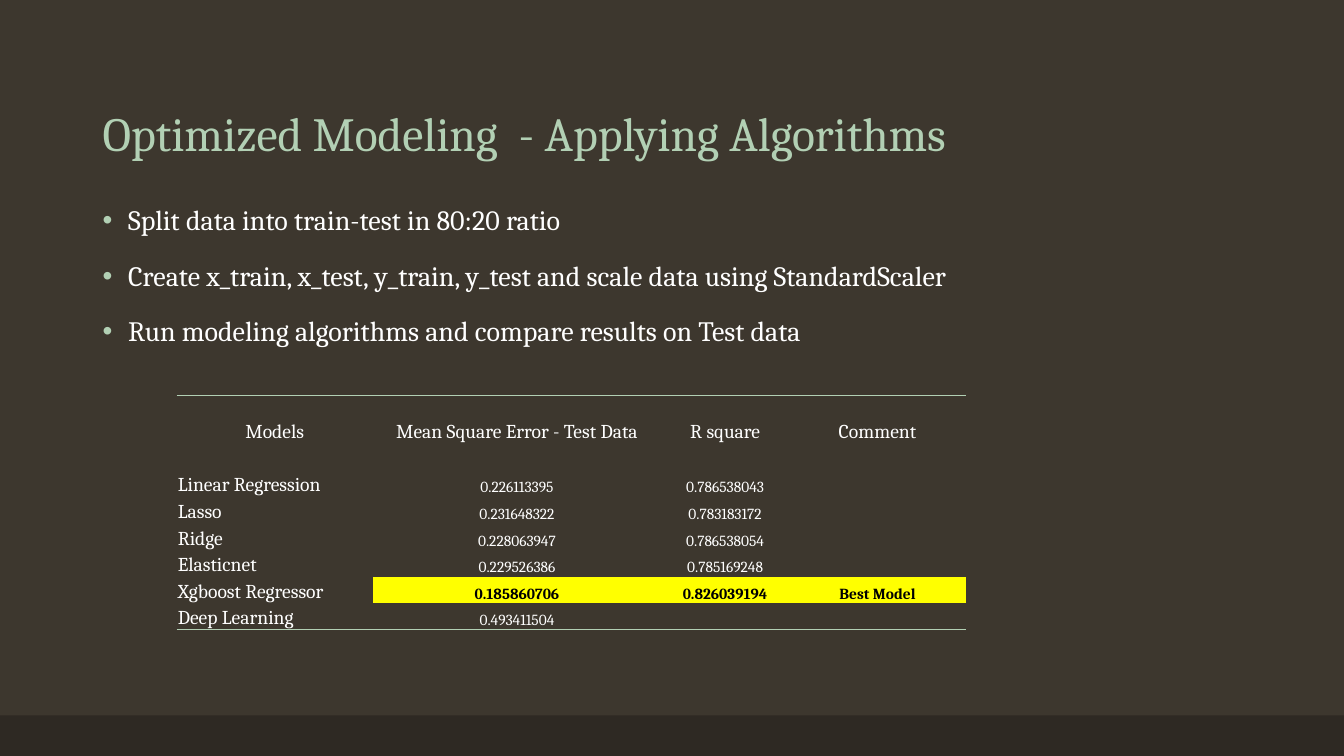
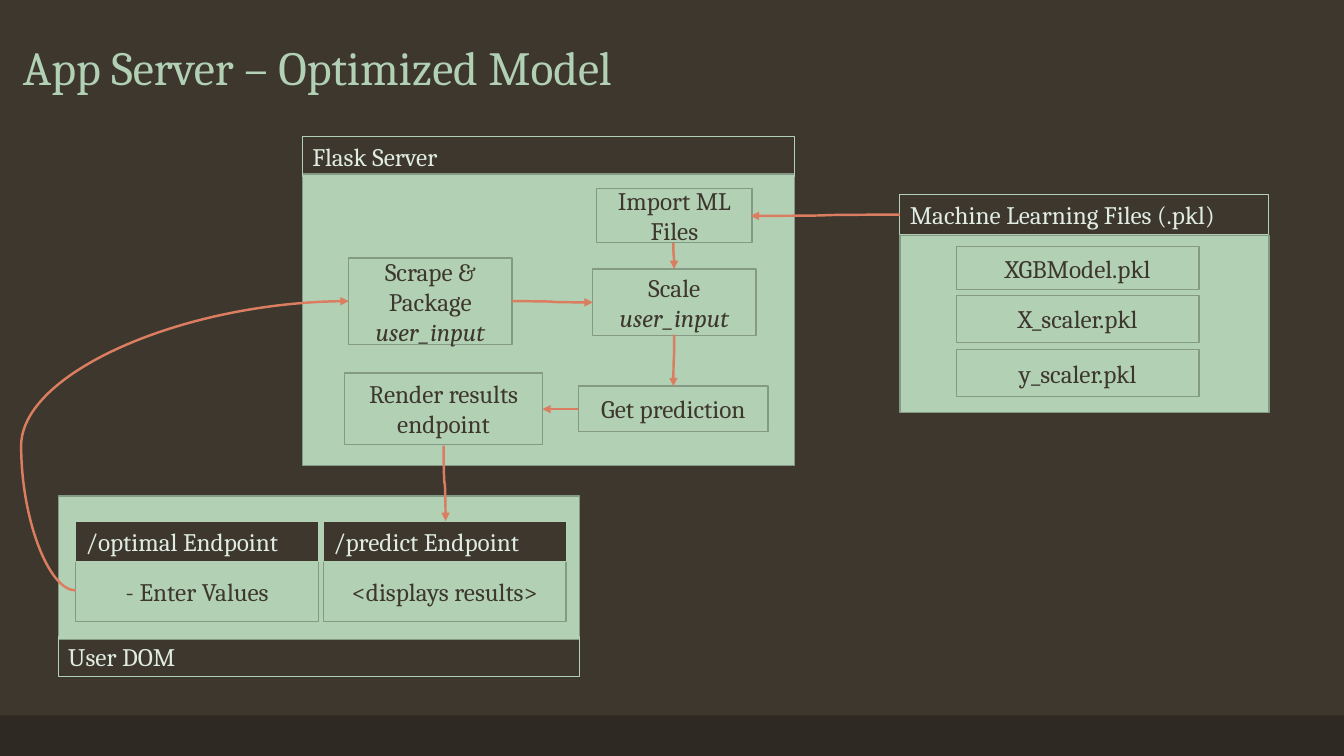
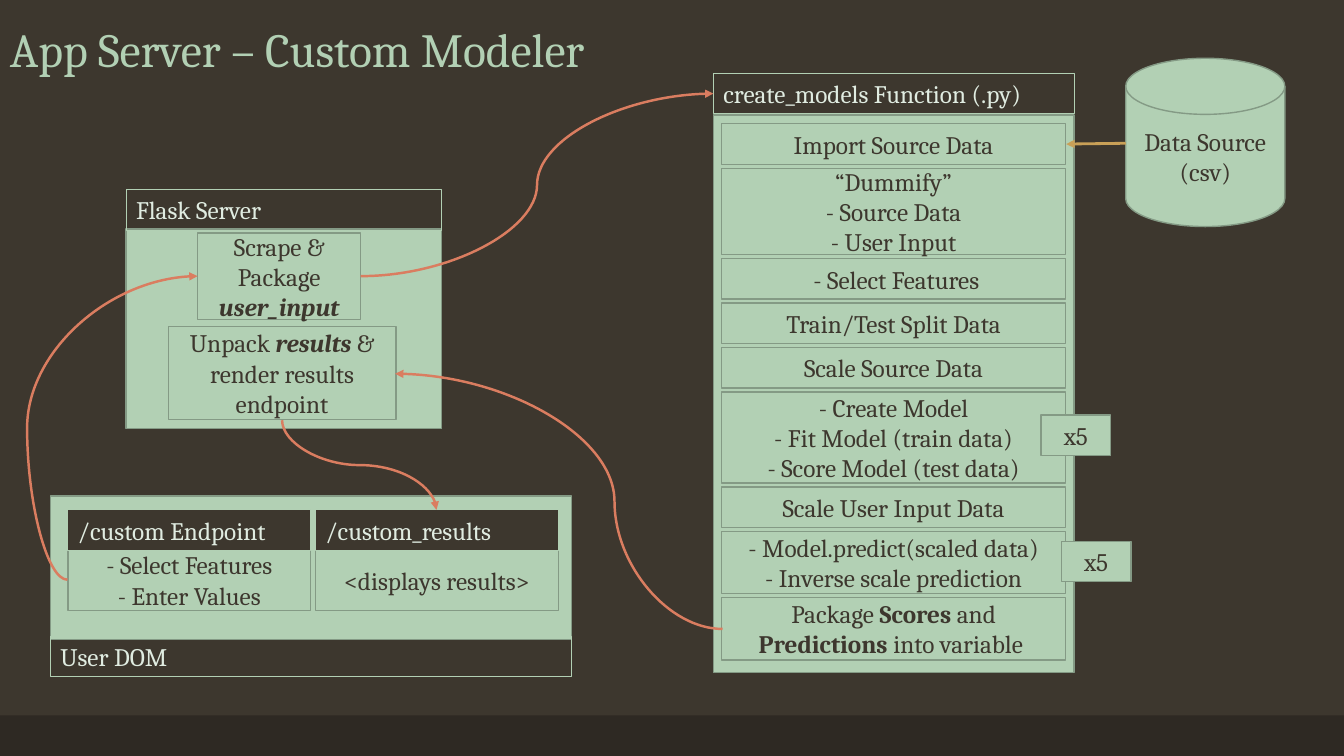
from lxml.etree import SubElement
from pptx import Presentation
from pptx.dml.color import RGBColor
from pptx.enum.shapes import MSO_CONNECTOR, MSO_SHAPE
from pptx.enum.text import MSO_ANCHOR, PP_ALIGN
from pptx.oxml.ns import qn
from pptx.util import Cm, Pt

FONT = "Cambria"
DARK = "3D372E"
BAND = "2E2923"
MINT = "B2D0B4"
PALE = "E0ECE1"
EDGE = "849A85"
CORAL = "DA7D60"
GOLD = "C9A057"
WHITE = "FFFFFF"
BLACK = "000000"
YELLOW = "FFFF00"

STRIP_HEIGHT = 1.02
ENDPOINT_WIDTH = 6.12
ENDPOINT_PITCH = 6.24
NO_GRID_STYLE = "{2D5ABB26-0587-4C30-8999-92F81FD0307C}"

TITLE_FORMAT = {"line_spacing": 0.9}
BULLET_FORMAT = {"line_spacing": 0.9, "space_before": Pt(18)}
CENTERED = {"alignment": PP_ALIGN.CENTER}
LEFT = {"alignment": PP_ALIGN.LEFT}
CELL_FORMAT = {
    "vertical_anchor": MSO_ANCHOR.BOTTOM,
    "margin_left": Cm(0.03),
    "margin_right": Cm(0.03),
    "margin_top": Cm(0.03),
    "margin_bottom": Cm(0),
}


def color(code):
    return RGBColor.from_string(code)


def cms(*lengths):
    return [Cm(length) for length in lengths]


def apply(target, values):
    for name, value in values.items():
        setattr(target, name, value)


class Deck:
    def __init__(self):
        self.show = Presentation()
        apply(self.show, {"slide_width": Cm(33.87), "slide_height": Cm(19.05)})
        backdrop = self.show.slide_master.background.fill
        backdrop.solid()
        backdrop.fore_color.rgb = color(DARK)
        self.slide = None

    def start(self, heading, left, top):
        self.slide = self.show.slides.add_slide(self.show.slide_layouts[6])
        self.block((0, 18.03, 33.87, 1.02), fill=BAND)
        self.text([heading], (left, top, 29.21, 3.18), MSO_ANCHOR.BOTTOM, 34, MINT, TITLE_FORMAT)

    def fill_text(self, frame, paragraphs, size, ink, layout):
        for index, content in enumerate(paragraphs):
            paragraph = frame.paragraphs[0] if index == 0 else frame.add_paragraph()
            apply(paragraph, layout)
            for piece in [content] if isinstance(content, str) else content:
                words, marks = (piece, "") if isinstance(piece, str) else piece
                run = paragraph.add_run()
                run.text = words
                apply(run.font, {"name": FONT, "size": Pt(size), "bold": "b" in marks, "italic": "i" in marks})
                run.font.color.rgb = color(ink)

    def text(self, paragraphs, place, anchor, size, ink, layout):
        frame = self.slide.shapes.add_textbox(*cms(*place)).text_frame
        apply(frame, {"word_wrap": True, "vertical_anchor": anchor})
        self.fill_text(frame, paragraphs, size, ink, layout)
        return frame

    def bullets(self, points, place):
        frame = self.text(points, place, MSO_ANCHOR.TOP, 20, WHITE, BULLET_FORMAT)
        for paragraph in frame.paragraphs:
            properties = paragraph._p.get_or_add_pPr()
            properties.set("marL", str(Cm(0.64)))
            properties.set("indent", str(-Cm(0.64)))
            tint = SubElement(properties, qn("a:buClr"))
            SubElement(tint, qn("a:srgbClr"), val=MINT)
            SubElement(properties, qn("a:buFont"), typeface="Arial")
            SubElement(properties, qn("a:buChar"), char="•")

    def block(self, place, fill=None, edge=None, weight=1.0, kind=MSO_SHAPE.RECTANGLE):
        block = self.slide.shapes.add_shape(kind, *cms(*place))
        block.shadow.inherit = False
        if fill:
            block.fill.solid()
            block.fill.fore_color.rgb = color(fill)
        else:
            block.fill.background()
        if edge:
            block.line.color.rgb = color(edge)
            block.line.width = Pt(weight)
        else:
            block.line.fill.background()
        return block

    def step(self, place, *paragraphs, kind=MSO_SHAPE.RECTANGLE):
        frame = self.block(place, MINT, EDGE, kind=kind).text_frame
        apply(frame, {"word_wrap": True, "vertical_anchor": MSO_ANCHOR.MIDDLE})
        self.fill_text(frame, paragraphs, 18, DARK, CENTERED)

    def strip(self, label, left, top, width, fill=None):
        frame = self.block((left, top, width, STRIP_HEIGHT), fill, MINT, 0.75).text_frame
        apply(frame, {"word_wrap": True, "vertical_anchor": MSO_ANCHOR.TOP})
        self.fill_text(frame, [label], 18, PALE, LEFT)

    def panel(self, label, place, strip_top):
        left, _, width, _ = place
        self.block(place, MINT, EDGE)
        self.strip(label, left, strip_top, width)

    def user_dom(self, left, endpoint_top, endpoints):
        self.panel("User DOM", (left, 12.5, 13.13, 3.61), 16.03)
        for index, (label, actions) in enumerate(endpoints):
            x = left + 0.44 + index * ENDPOINT_PITCH
            self.step((x, endpoint_top + 0.99, ENDPOINT_WIDTH, 1.55), *actions)
            self.strip(label, x, endpoint_top, ENDPOINT_WIDTH, DARK)

    def arrow(self, start, end, kind=MSO_CONNECTOR.CURVE, ink=CORAL, weight=1.75, bend=0.5, down=False):
        if down:
            x, y = (start[0] + end[0]) / 2, (start[1] + end[1]) / 2
            run, rise = (end[0] - start[0]) / 2, (end[1] - start[1]) / 2
            start, end = (x - rise, y + run), (x + rise, y - run)
        arrow = self.slide.shapes.add_connector(kind, *cms(*start, *end))
        if down:
            arrow.rotation = 90
        arrow.line.color.rgb = color(ink)
        arrow.line.width = Pt(weight)
        properties = arrow._element.spPr
        SubElement(properties.find(qn("a:ln")), qn("a:tailEnd"), type="triangle")
        SubElement(properties, qn("a:effectLst"))
        if bend != 0.5:
            guides = properties.find(qn("a:prstGeom")).find(qn("a:avLst"))
            SubElement(guides, qn("a:gd"), name="adj1", fmla=f"val {round(bend * 100000)}")

    def rule(self, cell, side):
        properties = cell._tc.get_or_add_tcPr()
        line = SubElement(properties, qn(f"a:{side}"), w=str(Pt(1)))
        SubElement(SubElement(line, qn("a:solidFill")), qn("a:srgbClr"), val=MINT)
        properties.insert(0, line)

    def table(self, rows, left, top, widths, heights, best):
        frame = self.slide.shapes.add_table(
            len(rows), len(widths), *cms(left, top, sum(widths), sum(heights)))
        grid = frame.table
        apply(grid, {"first_row": False, "horz_banding": False})
        grid._tbl.tblPr.find(qn("a:tableStyleId")).text = NO_GRID_STYLE
        for column, width in zip(grid.columns, widths):
            column.width = Cm(width)
        for r, (row, height) in enumerate(zip(rows, heights)):
            grid.rows[r].height = Cm(height)
            for c, value in enumerate(row):
                cell = grid.cell(r, c)
                apply(cell, CELL_FORMAT)
                marked = r == best and c > 0
                if marked:
                    cell.fill.solid()
                    cell.fill.fore_color.rgb = color(YELLOW)
                else:
                    cell.fill.background()
                if value:
                    self.fill_text(
                        cell.text_frame, [[(value, "b" if marked else "")]],
                        14 if r == 0 or c == 0 else 11,
                        BLACK if marked else WHITE,
                        LEFT if r and c == 0 else CENTERED)
                else:
                    SubElement(cell.text_frame.paragraphs[0]._p, qn("a:endParaRPr"), sz="1100")
                if r == 0:
                    self.rule(cell, "lnT")
                if r == len(rows) - 1:
                    self.rule(cell, "lnB")


def algorithms(deck):
    deck.start("Optimized Modeling  - Applying Algorithms", 2.34, 1.02)
    deck.bullets([
        "Split data into train-test in 80:20 ratio",
        "Create x_train, x_test, y_train, y_test and scale data using StandardScaler",
        "Run modeling algorithms and compare results on Test data",
    ], (2.34, 5.08, 29.21, 12.09))
    scores = [
        ("Models", "Mean Square Error - Test Data", "R square", "Comment"),
        ("", "", "", ""),
        ("Linear Regression", "0.226113395", "0.786538043", ""),
        ("Lasso", "0.231648322", "0.783183172", ""),
        ("Ridge", "0.228063947", "0.786538054", ""),
        ("Elasticnet", "0.229526386", "0.785169248", ""),
        ("Xgboost Regressor", "0.185860706", "0.826039194", "Best Model"),
        ("Deep Learning", "0.493411504", "", ""),
    ]
    deck.table(scores, 4.45, 9.96, (4.95, 7.26, 3.23, 4.45), [1.22] + [0.67] * 7, best=6)


def optimized_model(deck):
    deck.start("App Server – Optimized Model", 0.33, -0.64)
    deck.panel("Flask Server", (7.62, 4.39, 12.4, 7.34), 3.43)
    deck.panel("Machine Learning Files (.pkl)", (22.68, 5.94, 9.3, 4.45), 4.9)
    deck.user_dom(1.47, 13.13, [
        ("/optimal Endpoint", ["- Enter Values"]),
        ("/predict Endpoint", ["<displays results>"]),
    ])
    deck.step((8.79, 6.5, 4.11, 2.18), ["Scrape & Package ", ("user_input", "i")])
    deck.step((8.69, 9.4, 4.98, 1.8), "Render results endpoint")
    deck.step((15.04, 4.75, 3.91, 1.37), "Import ML Files")
    deck.step((14.94, 6.78, 4.11, 1.68), ["Scale ", ("user_input", "i")])
    deck.step((14.58, 9.73, 4.78, 1.14), "Get prediction")
    for file, top, height in (
        ("XGBModel.pkl", 6.22, 1.07), ("X_scaler.pkl", 7.44, 1.19), ("y_scaler.pkl", 8.81, 1.19),
    ):
        deck.step((24.1, top, 6.12, height), file)
    deck.arrow((1.91, 14.88), (8.79, 7.59), bend=-0.2)
    for start, end in (
        ((22.68, 5.41), (18.92, 5.44)),
        ((14.58, 10.31), (13.67, 10.31)),
        ((12.9, 7.59), (14.94, 7.62)),
    ):
        deck.arrow(start, end)
    for start, end in (
        ((11.18, 11.23), (11.23, 13.13)),
        ((16.97, 6.12), (16.99, 6.78)),
        ((16.99, 8.43), (16.97, 9.73)),
    ):
        deck.arrow(start, end, down=True)


def custom_modeler(deck):
    deck.start("App Server – Custom Modeler", 0, -1.09)
    deck.panel("Flask Server", (3.18, 5.77, 7.95, 5.03), 4.78)
    deck.panel("create_models Function (.py)", (17.98, 2.9, 9.09, 14.05), 1.85)
    deck.user_dom(1.27, 12.85, [
        ("/custom Endpoint", ["- Select Features", "- Enter Values"]),
        ("/custom_results", ["<displays results>"]),
    ])
    deck.step((28.37, 1.47, 4.01, 4.24), "Data Source", "(csv)", kind=MSO_SHAPE.FLOWCHART_MAGNETIC_DISK)
    top = 3.12
    for height, paragraphs in (
        (1.02, ["Import Source Data"]),
        (2.18, ["“Dummify”", "- Source Data", "- User Input"]),
        (1.02, [" - Select Features"]),
        (1.02, ["Train/Test Split Data"]),
        (1.02, ["Scale Source Data"]),
        (2.29, ["- Create Model", "- Fit Model (train data)", "- Score Model (test data)"]),
        (1.02, ["Scale User Input Data"]),
        (1.57, ["- Model.predict(scaled data)", "- Inverse scale prediction"]),
        (1.57, [["Package ", ("Scores", "b"), " and ", ("Predictions", "b"), " into variable "]]),
    ):
        deck.step((18.19, top, 8.66, height), *paragraphs)
        top += height + 0.1
    for left, repeat_top in ((26.24, 10.46), (26.75, 13.64)):
        deck.step((left, repeat_top, 1.75, 1.02), "x5")
    deck.step((4.98, 5.87, 4.11, 2.18), ["Scrape & Package ", ("user_input", "bi")])
    deck.step((4.24, 8.23, 5.74, 2.34), ["Unpack ", ("results", "bi"), " & render results endpoint"])
    deck.arrow((28.37, 3.61), (26.87, 3.63), MSO_CONNECTOR.STRAIGHT, GOLD, 2)
    deck.arrow((1.7, 14.61), (4.98, 6.96), bend=-0.31)
    deck.arrow((9.09, 6.96), (17.98, 2.36))
    deck.arrow((18.21, 15.85), (9.96, 9.42), bend=0.33)
    deck.arrow((7.11, 10.59), (11, 12.85), down=True)


def main():
    deck = Deck()
    algorithms(deck)
    optimized_model(deck)
    custom_modeler(deck)
    deck.show.save("out.pptx")


if __name__ == "__main__":
    main()
